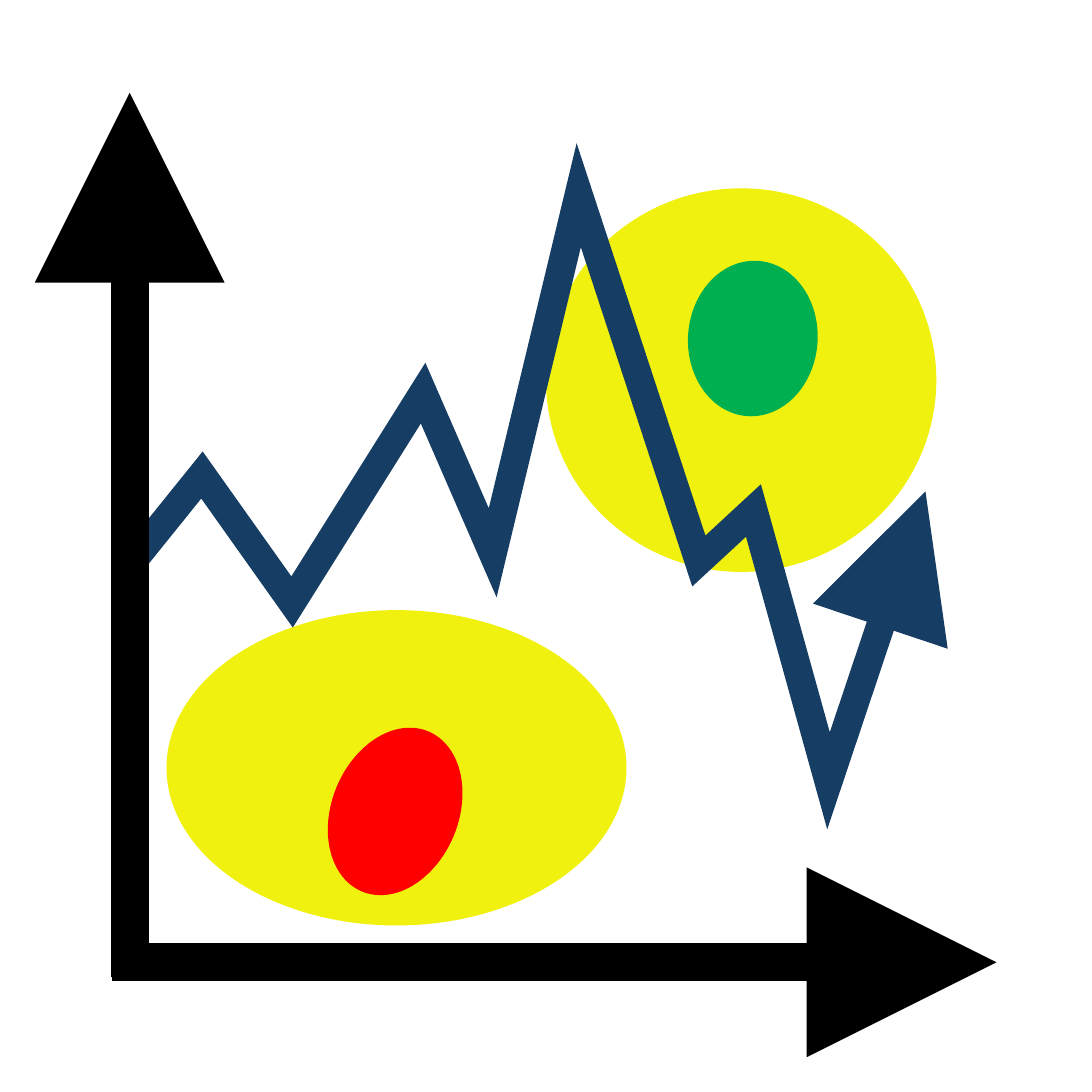
import pptx
import pptx.util
import pptx.dml.color
import pptx.enum.shapes
import pptx.oxml.ns
from lxml import etree

Inches = pptx.util.Inches
RGBColor = pptx.dml.color.RGBColor

YELLOW = RGBColor(0xF1, 0xF1, 0x0F)
RED = RGBColor(0xFF, 0x00, 0x00)
GREEN = RGBColor(0x00, 0xB0, 0x50)
BLACK = RGBColor(0x00, 0x00, 0x00)
NAVY = RGBColor(0x16, 0x3E, 0x64)

LOW_ZONE = (1.22, 4.47, 3.37, 2.31, 0, YELLOW)
HIGH_ZONE = (4, 1.38, 2.86, 2.81, 0, YELLOW)
LOW_SPOT = (2.43, 5.31, 0.93, 1.27, 22.4, RED)
HIGH_SPOT = (5.04, 1.91, 0.95, 1.14, 4, GREEN)

TIME_AXIS = (0.82, 7.05, 7.3, 7.05)
PRICE_AXIS = (0.95, 7.16, 0.95, 0.68)
AXIS_WIDTH = 20

TREND_POINTS = [
    (0.94, 4.15), (1.48, 3.48), (2.14, 4.41), (3.1, 2.88), (3.61, 4.05),
    (4.24, 1.43), (5.12, 4.11), (5.52, 3.74), (6.07, 5.72), (6.78, 3.6),
]
TREND_WIDTH = 15


def add_ellipse(slide, left, top, width, height, rotation, color):
    ellipse = slide.shapes.add_shape(
        pptx.enum.shapes.MSO_SHAPE.OVAL,
        Inches(left), Inches(top), Inches(width), Inches(height))
    ellipse.rotation = rotation
    ellipse.shadow.inherit = False
    ellipse.fill.solid()
    ellipse.fill.fore_color.rgb = color
    ellipse.line.fill.background()


def style_arrow(shape, color, width):
    qn = pptx.oxml.ns.qn
    shape.line.color.rgb = color
    shape.line.width = pptx.util.Pt(width)
    properties = shape._element.spPr
    line = properties.find(qn("a:ln"))
    etree.SubElement(line, qn("a:miter"), lim="800000")
    etree.SubElement(line, qn("a:tailEnd"), type="triangle", w="lg", len="lg")
    etree.SubElement(properties, qn("a:effectLst"))


def add_axis(slide, ends):
    axis = slide.shapes.add_connector(
        pptx.enum.shapes.MSO_CONNECTOR.STRAIGHT, *map(Inches, ends))
    style_arrow(axis, BLACK, AXIS_WIDTH)


def add_trend(slide):
    start, *corners = [(Inches(x), Inches(y)) for x, y in TREND_POINTS]
    builder = slide.shapes.build_freeform(*start)
    builder.add_line_segments(corners, close=False)
    trend = builder.convert_to_shape()
    trend.fill.background()
    style_arrow(trend, NAVY, TREND_WIDTH)


def main():
    presentation = pptx.Presentation()
    presentation.slide_width = presentation.slide_height = Inches(8)
    slide = presentation.slides.add_slide(presentation.slide_layouts[6])
    add_ellipse(slide, *LOW_ZONE)
    add_axis(slide, TIME_AXIS)
    for ellipse in (HIGH_ZONE, LOW_SPOT, HIGH_SPOT):
        add_ellipse(slide, *ellipse)
    add_trend(slide)
    add_axis(slide, PRICE_AXIS)
    presentation.save("out.pptx")


if __name__ == "__main__":
    main()
